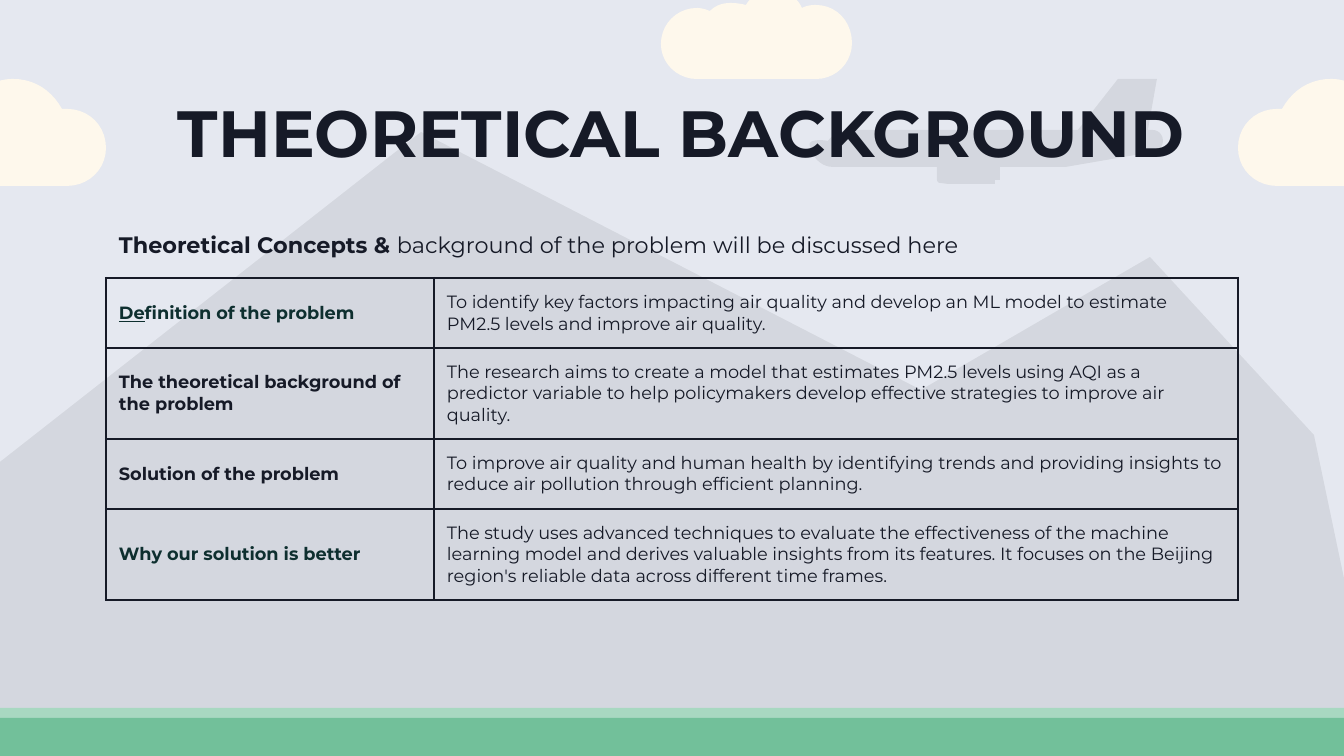
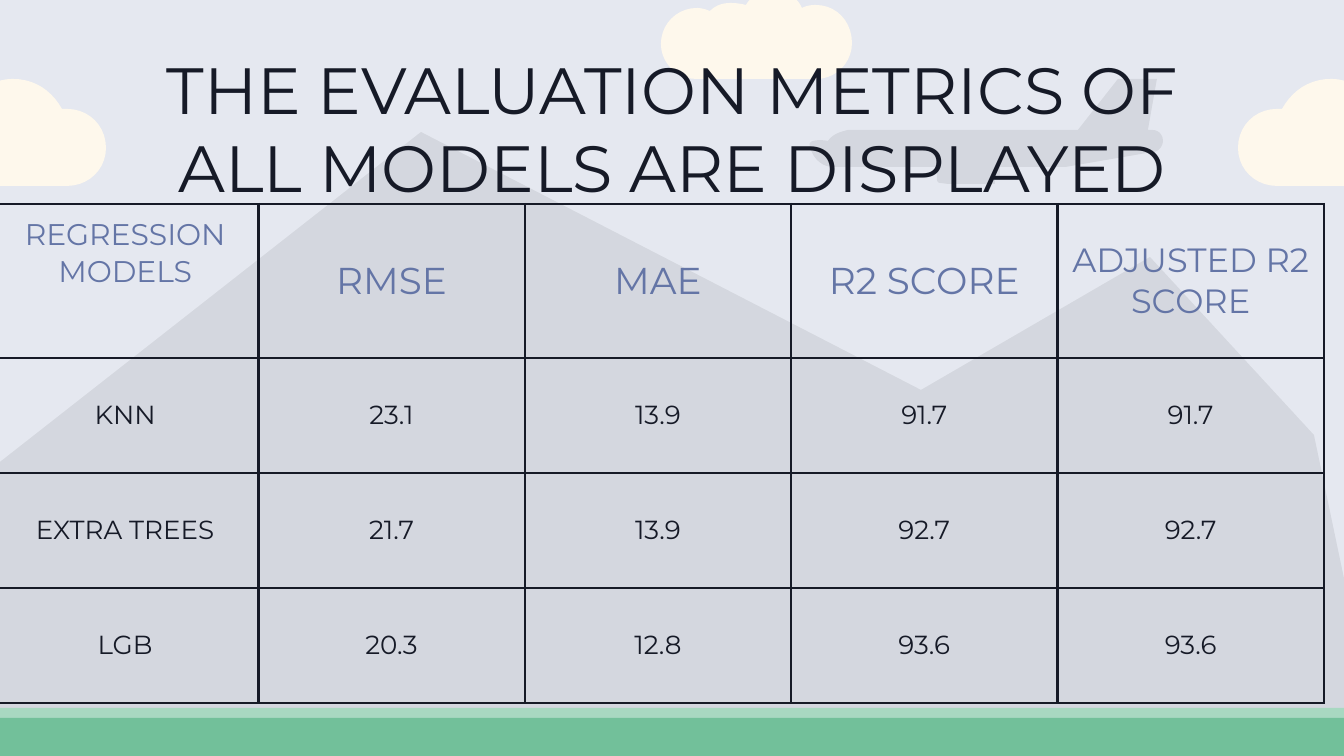
from pptx import Presentation
from pptx.dml.color import RGBColor
from pptx.enum.shapes import MSO_SHAPE as Preset
from pptx.enum.text import MSO_ANCHOR as Anchor, PP_ALIGN as Align
from pptx.oxml import parse_xml
from pptx.oxml.ns import nsdecls, qn
from pptx.util import Pt

SCALE = 914400 / 134.4
FONT = "Montserrat"
COLORS = {
    "sky": "E5E8F0",
    "ink": "161A27",
    "teal": "0E2F2F",
    "heading": "6475A6",
    "haze": "000000",
    "cloud": "FEF8EC",
    "grass_edge": "A8D8C1",
    "grass": "72C09A",
}
INSET = 13
BORDER_PT = 1.5
HAZE_ALPHA = 7

MOUNTAINS = [
    (764, 0), (320, 348), (218, 306), (19, 576), (0, 600), (0, 610),
    (58, 661), (1665, 661), (1715, 619), (1715, 580),
    (1657, 303), (1493, 125), (1264, 258),
]
PLANE = [
    (309, 0), (269, 51), (39, 51), (31, 53, 24, 55, 19, 62),
    (14, 61, 8, 61, 4, 62), (1, 63, 0, 65, 1, 67), (3, 78, 12, 88, 24, 88),
    (128, 88), (128, 100), (128, 102, 129, 104, 131, 104), (139, 105),
    (186, 105), (186, 101), (191, 101), (191, 88), (257, 88), (344, 73),
    (350, 73, 354, 67, 354, 62), (354, 56, 350, 51, 343, 51),
    (339, 51), (348, 0),
]
SIDE_CLOUD = [
    (93, 0), (71, 0, 54, 12, 44, 30), (39, 30), (17, 30, 0, 47, 0, 69),
    (0, 90, 17, 107, 39, 107), (154, 107), (181, 107, 204, 84, 204, 58),
    (204, 30, 181, 8, 154, 8), (145, 8, 135, 9, 129, 15),
    (119, 5, 106, 0, 93, 0),
]
TOP_CLOUD = [
    (113, 0), (101, 0, 90, 7, 85, 16), (81, 15, 76, 14, 70, 14),
    (62, 14, 55, 16, 49, 22), (44, 20, 40, 19, 36, 19),
    (16, 19, 0, 35, 0, 55), (0, 74, 16, 90, 36, 90), (155, 90),
    (175, 90, 191, 74, 191, 54), (191, 32, 175, 16, 155, 16),
    (149, 16, 145, 17, 141, 19), (136, 8, 125, 0, 113, 0),
]

CONCEPTS = [
    ([("De", True), ("finition of the problem", False)], "teal",
     "To identify key factors impacting air quality and develop an ML model "
     "to estimate PM2.5 levels and improve air quality."),
    ([("The theoretical background of the problem", False)], "ink",
     "The research aims to create a model that estimates PM2.5 levels using "
     "AQI as a predictor variable to help policymakers develop effective "
     "strategies to improve air quality."),
    ([("Solution of the problem", False)], "ink",
     "To improve air quality and human health by identifying trends and "
     "providing insights to reduce air pollution through efficient planning."),
    ([("Why our solution is better", False)], "teal",
     "The study uses advanced techniques to evaluate the effectiveness of the "
     "machine learning model and derives valuable insights from its features. "
     "It focuses on the Beijing region's reliable data across different time "
     "frames."),
]
METRIC_HEADINGS = [
    ("REGRESSION MODELS", 16), ("RMSE", 20), ("MAE", 20),
    ("R2 SCORE", 20), ("ADJUSTED R2 SCORE", 18),
]
METRICS = [
    ("KNN", "23.1", "13.9", "91.7", "91.7"),
    ("EXTRA TREES", "21.7", "13.9", "92.7", "92.7"),
    ("LGB", "20.3", "12.8", "93.6", "93.6"),
]


def px(value):
    """Turn px into EMU."""
    return round(value * SCALE)


def rgb(name):
    """Look up a palette colour."""
    return RGBColor.from_string(COLORS[name])


def paint(shape, color, alpha=None):
    """Give a shape a flat fill with no outline or shadow."""
    shape.shadow.inherit = False
    shape.fill.solid()
    shape.fill.fore_color.rgb = rgb(color)
    shape.line.fill.background()
    if alpha is not None:
        tint = shape.element.spPr.find(".//" + qn("a:srgbClr"))
        tint.append(parse_xml(f'<a:alpha {nsdecls("a")} val="{alpha * 1000}"/>'))


def flatten(outline, steps=10):
    """Turn an outline of line ends and cubic curves into points."""
    points = [outline[0]]
    for part in outline[1:]:
        if len(part) == 2:
            points.append(part)
            continue
        knots = [points[-1], part[:2], part[2:4], part[4:]]
        for step in range(1, steps + 1):
            t = step / steps
            weights = ((1 - t) ** 3, 3 * t * (1 - t) ** 2, 3 * t * t * (1 - t), t ** 3)
            points.append(tuple(
                sum(weight * knot[axis] for weight, knot in zip(weights, knots))
                for axis in (0, 1)))
    return points


def draw_outline(page, left, top, outline, color, alpha=None, mirror_width=None):
    """Draw a closed outline from its top left corner, mirrored if a width is given."""
    points = flatten(outline)
    if mirror_width is not None:
        points = [(mirror_width - x, y) for x, y in points]
    points = [(px(left + x), px(top + y)) for x, y in points]
    builder = page.shapes.build_freeform(*points[0])
    builder.add_line_segments(points[1:], close=True)
    paint(builder.convert_to_shape(), color, alpha)


def draw_band(page, box, color):
    """Draw one round-ended strip of ground."""
    band = page.shapes.add_shape(Preset.ROUNDED_RECTANGLE, *map(px, box))
    band.adjustments[0] = 0.5
    paint(band, color)


def draw_scenery(page):
    """Draw the landscape shared by every slide."""
    draw_outline(page, -343, 132, MOUNTAINS, "haze", HAZE_ALPHA)
    draw_band(page, (-343, 708, 1719, 48), "grass_edge")
    draw_band(page, (-342, 718, 1718, 38), "grass")
    draw_outline(page, 809, 79, PLANE, "haze", HAZE_ALPHA)
    draw_outline(page, 1238, 79, SIDE_CLOUD, "cloud")
    draw_outline(page, -98, 79, SIDE_CLOUD, "cloud", mirror_width=204)
    draw_outline(page, 661, -11, TOP_CLOUD, "cloud")


def set_insets(holder):
    """Give a cell or text frame equal margins."""
    holder.margin_left = holder.margin_right = px(INSET)
    holder.margin_top = holder.margin_bottom = px(INSET)


def write(frame, texts, size, color="ink", bold=None, align=Align.LEFT):
    """Write the texts as spans of one paragraph and return the spans."""
    frame.word_wrap = True
    para = frame.paragraphs[0]
    para.alignment = align
    para.font.name = FONT
    para.font.size = Pt(size)
    para.font.color.rgb = rgb(color)
    if bold is not None:
        para.font.bold = bold
    spans = []
    for text in texts:
        span = para.add_run()
        span.text = text
        spans.append(span)
    return spans


def add_text(page, box, texts, size, **style):
    """Add a text box and return its spans."""
    frame = page.shapes.add_textbox(*map(px, box)).text_frame
    set_insets(frame)
    frame.vertical_anchor = Anchor.TOP
    return write(frame, texts, size, **style)


def add_title(page, top, text, bold=False):
    """Add the large centred title."""
    add_text(page, (106, top, 1133, 99), [text], 35, bold=bold, align=Align.CENTER)


def outline_cell(cell):
    """Draw the four borders of a cell."""
    props = cell._tc.get_or_add_tcPr()
    for index, side in enumerate(("lnL", "lnR", "lnT", "lnB")):
        props.insert(index, parse_xml(
            f'<a:{side} {nsdecls("a")} w="{Pt(BORDER_PT)}"><a:solidFill>'
            f'<a:srgbClr val="{COLORS["ink"]}"/></a:solidFill></a:{side}>'))


def add_grid(page, left, top, widths, heights):
    """Add a clear, bordered table sized by its columns and rows."""
    box = (left, top, sum(widths), sum(heights))
    table = page.shapes.add_table(len(heights), len(widths), *map(px, box)).table
    table.first_row = table.horz_banding = False
    for column, width in zip(table.columns, widths):
        column.width = px(width)
    for row, height in zip(table.rows, heights):
        row.height = px(height)
    for cell in table.iter_cells():
        set_insets(cell)
        cell.vertical_anchor = Anchor.MIDDLE
        cell.fill.background()
        outline_cell(cell)
    return table


def build_background_slide(page):
    """Build the slide on the theory behind the problem."""
    draw_scenery(page)
    lead, rest = add_text(
        page, (106, 218, 1133, 82),
        ["Theoretical Concepts & ", "background of the problem will be discussed here"], 12)
    lead.font.bold = True
    rest.font.bold = False
    add_title(page, 79, " THEORETICAL BACKGROUND", bold=True)
    table = add_grid(page, 106, 278, [328, 804], [70, 91, 70, 91])
    for row, (label, color, summary) in enumerate(CONCEPTS):
        texts = [text for text, _ in label]
        spans = write(table.cell(row, 0).text_frame, texts, 9.5, color, bold=True)
        for span, (_, underlined) in zip(spans, label):
            if underlined:
                span.font.underline = True
        write(table.cell(row, 1).text_frame, [summary], 9.5)


def build_metrics_slide(page):
    """Build the slide comparing the models."""
    draw_scenery(page)
    add_title(page, 36, "THE EVALUATION METRICS OF ALL MODELS ARE DISPLAYED")
    count = len(METRIC_HEADINGS)
    table = add_grid(page, -8, 204, [1332 / count] * count, [154] + [115] * len(METRICS))
    for column, (heading, size) in enumerate(METRIC_HEADINGS):
        write(table.cell(0, column).text_frame, [heading], size, "heading", align=Align.CENTER)
    table.cell(0, 0).vertical_anchor = Anchor.TOP
    for row, values in enumerate(METRICS, 1):
        for column, value in enumerate(values):
            write(table.cell(row, column).text_frame, [value], 14, align=Align.CENTER)


def main():
    """Build and save the deck."""
    deck = Presentation()
    deck.slide_width, deck.slide_height = px(1344), px(756)
    sky = deck.slide_master.background.fill
    sky.solid()
    sky.fore_color.rgb = rgb("sky")
    for build in (build_background_slide, build_metrics_slide):
        build(deck.slides.add_slide(deck.slide_layouts[6]))
    deck.save("out.pptx")


if __name__ == "__main__":
    main()
